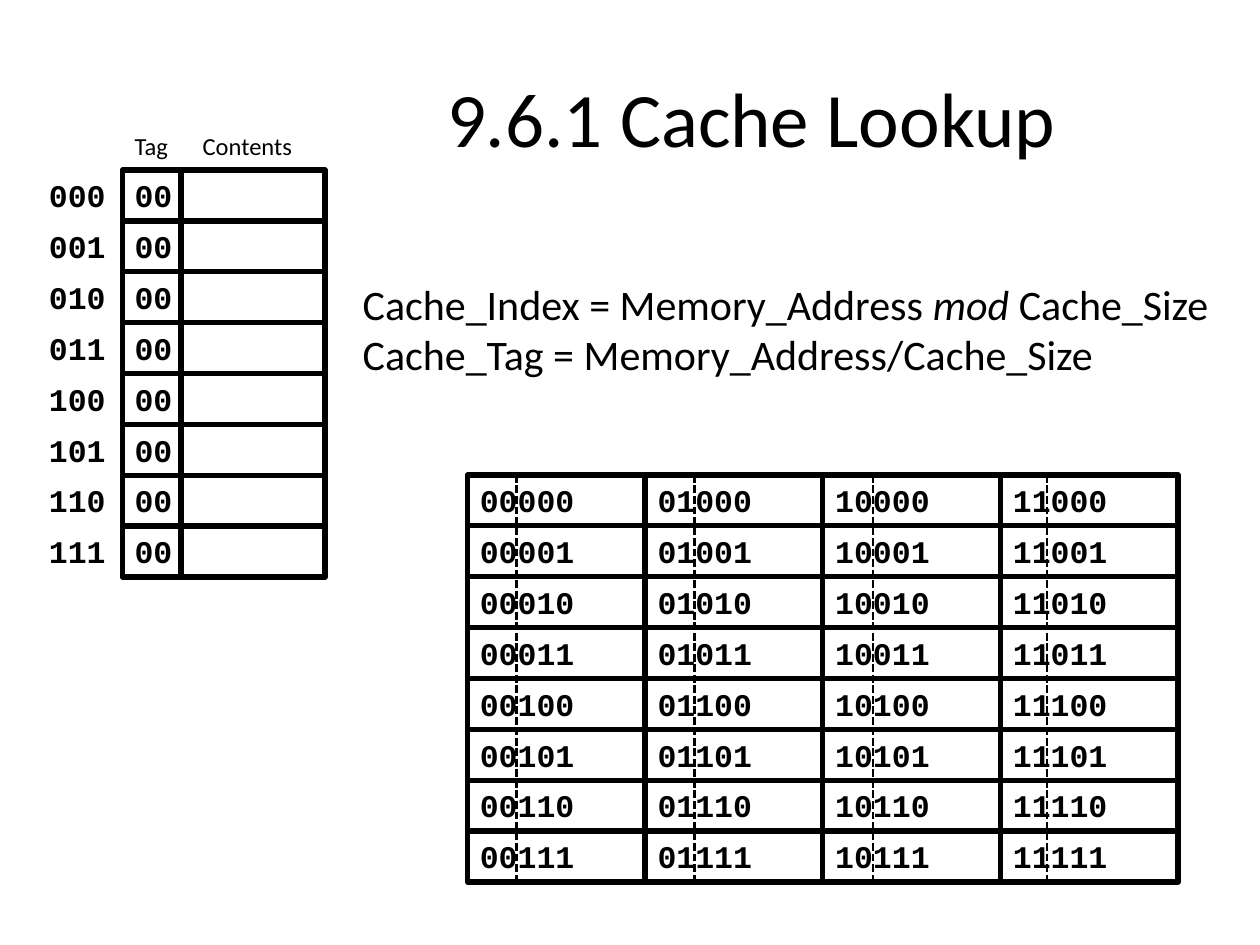
"""Build the cache lookup slide: a cache table beside the memory address grid."""
from lxml.etree import SubElement
from pptx import Presentation
from pptx.dml.color import RGBColor
from pptx.enum.dml import MSO_LINE
from pptx.enum.shapes import MSO_CONNECTOR, MSO_SHAPE
from pptx.enum.text import MSO_ANCHOR, PP_ALIGN
from pptx.oxml.ns import qn
from pptx.util import Inches, Pt

COLORS = {"ink": "000000"}
INK = RGBColor.from_string(COLORS["ink"])
ROWS = 8
ROW_H = 3.23 / ROWS
CACHE_TOP, MEM_TOP = 1.35, 3.77
LABEL_X, TAG_X, CONTENTS_X = 0.29, 0.97, 1.43
LABEL_W, TAG_W, CONTENTS_W = 0.67, 0.47, 1.15
MEM_X, MEM_W = 3.71, 1.41


def write(tf, lines, size, font, bold=False):
    tf.word_wrap = False
    tf.vertical_anchor = MSO_ANCHOR.TOP
    for i, runs in enumerate(lines):
        p = tf.add_paragraph() if i else tf.paragraphs[0]
        p.alignment = PP_ALIGN.LEFT
        for text, italic in runs:
            r = p.add_run()
            r.text = text
            r.font.size, r.font.name = Pt(size), font
            r.font.bold, r.font.italic = bold, italic
            r.font.color.rgb = INK


def cell(x, y, w, text="", border=True):
    box = [Inches(v) for v in (x, y, w, ROW_H)]
    if border:
        sp = s.shapes.add_shape(MSO_SHAPE.RECTANGLE, *box)
        sp.shadow.inherit = False
        sp.fill.background()
        sp.line.color.rgb = INK
        sp.line.width = Pt(3)
    else:
        sp = s.shapes.add_textbox(*box)
    if text:
        write(sp.text_frame, [[(text, False)]], 18, "Courier New", True)


prs = Presentation()
prs.slide_width, prs.slide_height = Inches(10), Inches(7.5)
s = prs.slides.add_slide(prs.slide_layouts[5])

title = s.shapes.title
title.left, title.top, title.width, title.height = [Inches(v) for v in (2.43, 0.3, 7.07, 1.25)]
write(title.text_frame, [[("9.6.1 Cache Lookup", False)]], 44, "Calibri")
title.text_frame.vertical_anchor = MSO_ANCHOR.MIDDLE
title.text_frame.paragraphs[0].alignment = PP_ALIGN.CENTER

for row in range(ROWS):
    y = CACHE_TOP + row * ROW_H
    cell(LABEL_X, y, LABEL_W, f"{row:03b}", border=False)
    cell(TAG_X, y, TAG_W, "00")
    cell(CONTENTS_X, y, CONTENTS_W)

for col in range(4):
    for row in range(ROWS):
        cell(MEM_X + col * MEM_W, MEM_TOP + row * ROW_H, MEM_W, f"{col * ROWS + row:05b}")

for x in (4.1, 5.51, 6.93, 8.31):
    line = s.shapes.add_connector(
        MSO_CONNECTOR.STRAIGHT, Inches(x), Inches(MEM_TOP), Inches(x), Inches(MEM_TOP + ROWS * ROW_H))
    line.line.color.rgb = INK
    line.line.width = Pt(1.5)
    line.line.dash_style = MSO_LINE.SQUARE_DOT
    SubElement(line._element.spPr, qn("a:effectLst"))

formulas = [
    [("Cache_Index = Memory_Address ", False), ("mod ", True), ("Cache_Size", False)],
    [("Cache_Tag = Memory_Address/Cache_Size", False)],
]
for x, y, w, h, lines, size in (
    (2.78, 2.16, 6.96, 0.91, formulas, 24),
    (TAG_X, 0.99, TAG_W, 0.34, [[("Tag", False)]], 14),
    (1.51, 0.99, 0.92, 0.34, [[("Contents", False)]], 14),
):
    tb = s.shapes.add_textbox(Inches(x), Inches(y), Inches(w), Inches(h))
    write(tb.text_frame, lines, size, "Calibri")

prs.save("out.pptx")
